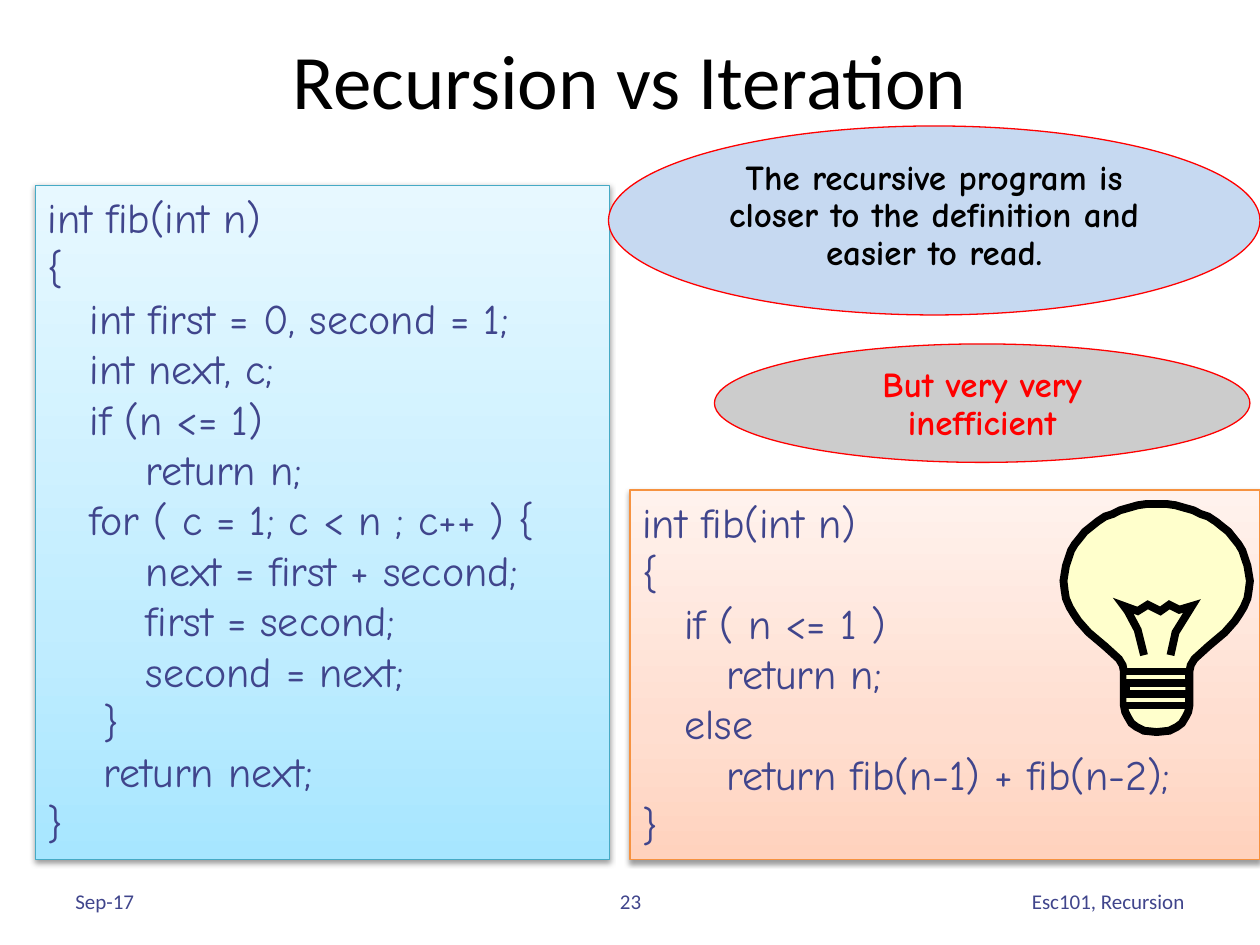
from copy import deepcopy

from lxml import etree
from pptx import Presentation
from pptx.dml.color import RGBColor
from pptx.enum import shapes, text
from pptx.oxml.ns import qn
from pptx.util import Inches, Pt

COLORS = {
    "ink": "40458C", "black": "000000", "red": "FF0000",
    "pale_blue": "C6D9F1", "grey": "CCCCCC", "bulb": "FFFFCC",
    "blue_line": "46AAC5", "orange_line": "F69240",
}
BLUE_STOPS = ["A7E6FF", "C1EDFF", "E7F8FF"]
ORANGE_STOPS = ["FFD2BD", "FFDED0", "FFF2ED"]

ITERATIVE = """int fib(int n)
{
   int first = 0, second = 1;
   int next, c;
   if (n <= 1)
       return n;
   for ( c = 1; c < n ; c++ ) {
       next = first + second;
       first = second;
       second = next;
    }
    return next;
}"""
RECURSIVE = """int fib(int n)
{
   if ( n <= 1 )
      return n;
   else
      return fib(n-1) + fib(n-2);
}"""


def rgb(name):
    return RGBColor.from_string(COLORS[name])


def style(paragraph, font_name, size, color, align=text.PP_ALIGN.LEFT, bold=False):
    paragraph.alignment = align
    font = paragraph.font
    font.name, font.size, font.bold = font_name, Pt(size), bold
    font.color.rgb = rgb(color)


prs = Presentation()
prs.slide_width, prs.slide_height = Inches(10), Inches(7.5)
slide = prs.slides.add_slide(prs.slide_layouts[5])

# Title
title = slide.shapes.title
title.left, title.top, title.width, title.height = map(Inches, (0.5, 0, 9, 1.25))
title.text_frame.text = "Recursion vs Iteration"
title.text_frame.vertical_anchor = text.MSO_ANCHOR.MIDDLE
style(title.text_frame.paragraphs[0], "Calibri", 44, "black", text.PP_ALIGN.CENTER)

# Code panels
for box, code, stops, line_color in [
    ((0.28, 1.47, 4.56, 5.35), ITERATIVE, BLUE_STOPS, "blue_line"),
    ((5, 3.89, 5, 2.93), RECURSIVE, ORANGE_STOPS, "orange_line"),
]:
    panel = slide.shapes.add_shape(shapes.MSO_SHAPE.RECTANGLE, *map(Inches, box))
    panel.fill.gradient()
    panel.fill.gradient_angle = 90
    properties = panel._element.spPr
    stop_list = properties.find(".//" + qn("a:gsLst"))
    stop_list.insert(1, deepcopy(stop_list[0]))
    for stop, color, position in zip(panel.fill.gradient_stops, stops, (0, 0.35, 1)):
        stop.color.rgb = RGBColor.from_string(color)
        stop.position = position
    panel.line.color.rgb = rgb(line_color)
    panel.line.width = Pt(0.75)

    panel.shadow.inherit = False
    shadow = etree.SubElement(
        properties.find(qn("a:effectLst")), qn("a:outerShdw"),
        blurRad=str(Pt(3.1)), dist=str(Pt(1.6)), dir="5400000", rotWithShape="0")
    shadow_color = etree.SubElement(shadow, qn("a:srgbClr"), val=COLORS["black"])
    etree.SubElement(shadow_color, qn("a:alpha"), val="38000")

    frame = panel.text_frame
    frame.word_wrap = True
    frame.vertical_anchor = text.MSO_ANCHOR.TOP
    frame.text = code
    for code_line in frame.paragraphs:
        style(code_line, "Comic Neue", 24, "ink")

# Footer
for left, width, words, align in [
    (0.5, 2.33, "Sep-17", text.PP_ALIGN.LEFT),
    (7.17, 2.33, "Esc101, Recursion", text.PP_ALIGN.RIGHT),
    (3.42, 3.17, "23", text.PP_ALIGN.CENTER),
]:
    footer = slide.shapes.add_textbox(*map(Inches, (left, 6.95, width, 0.4)))
    frame = footer.text_frame
    frame.word_wrap = True
    frame.vertical_anchor = text.MSO_ANCHOR.MIDDLE
    frame.text = words
    style(frame.paragraphs[0], "Calibri", 12, "ink", align)

# Remarks
for box, words, fill, color in [
    ((4.83, 1, 5.17, 1.5),
     "The recursive program is closer to the definition and easier to read.",
     "pale_blue", "black"),
    ((5.67, 2.73, 4.25, 0.94), "But very very inefficient", "grey", "red"),
]:
    remark = slide.shapes.add_shape(shapes.MSO_SHAPE.OVAL, *map(Inches, box))
    remark.shadow.inherit = False
    remark.fill.solid()
    remark.fill.fore_color.rgb = rgb(fill)
    remark.line.color.rgb = rgb("red")
    remark.line.width = Pt(0.75)
    frame = remark.text_frame
    frame.word_wrap = True
    frame.vertical_anchor = text.MSO_ANCHOR.TOP
    frame.text = words
    frame.paragraphs[0].line_spacing = 0.9
    style(frame.paragraphs[0], "Comic Neue", 20, color, text.PP_ALIGN.CENTER, bold=True)

# Light bulb, in hundredths of an inch: the right half of the glass is mirrored
AXIS = 918
right_half = [
    (918, 400), (926, 400), (933, 401), (940, 403), (947, 405), (953, 408),
    (959, 410), (965, 414), (970, 418), (975, 422), (979, 427),
    (983, 432), (986, 437), (988, 443), (990, 449), (991, 455),
    (992, 461), (991, 469), (990, 475), (987, 482), (984, 487),
    (980, 493), (972, 502), (959, 513), (948, 523), (945, 528),
    (944, 533), (944, 560), (943, 565), (941, 569), (938, 574),
    (934, 577), (928, 580), (918, 581),
]
left_half = [(2 * AXIS - x, y) for x, y in reversed(right_half[1:-1])]
filament = [
    (908, 520), (903, 500), (895, 485), (892, 481), (903, 485), (911, 480),
    (921, 485), (928, 480), (936, 484), (946, 481), (933, 502), (929, 520),
]
screw_thread = [
    (894, 533), (944, 533), (944, 542), (894, 542),
    (894, 551), (944, 551), (944, 560), (894, 560),
]
for strokes, closed in [([right_half + left_half], True), ([filament, screw_thread], False)]:
    builder = slide.shapes.build_freeform(*strokes[0][0], scale=Inches(0.01))
    for number, stroke in enumerate(strokes):
        if number:
            builder.move_to(*stroke[0])
        builder.add_line_segments(stroke[1:], close=closed)
    bulb_part = builder.convert_to_shape()
    bulb_part.shadow.inherit = False
    bulb_part.fill.solid()
    bulb_part.fill.fore_color.rgb = rgb("bulb")
    bulb_part.line.color.rgb = rgb("black")
    bulb_part.line.width = Pt(4.5)
    outline = bulb_part._element.spPr.find(qn("a:ln"))
    etree.SubElement(outline, qn("a:miter"), lim="800000")

prs.save("out.pptx")
